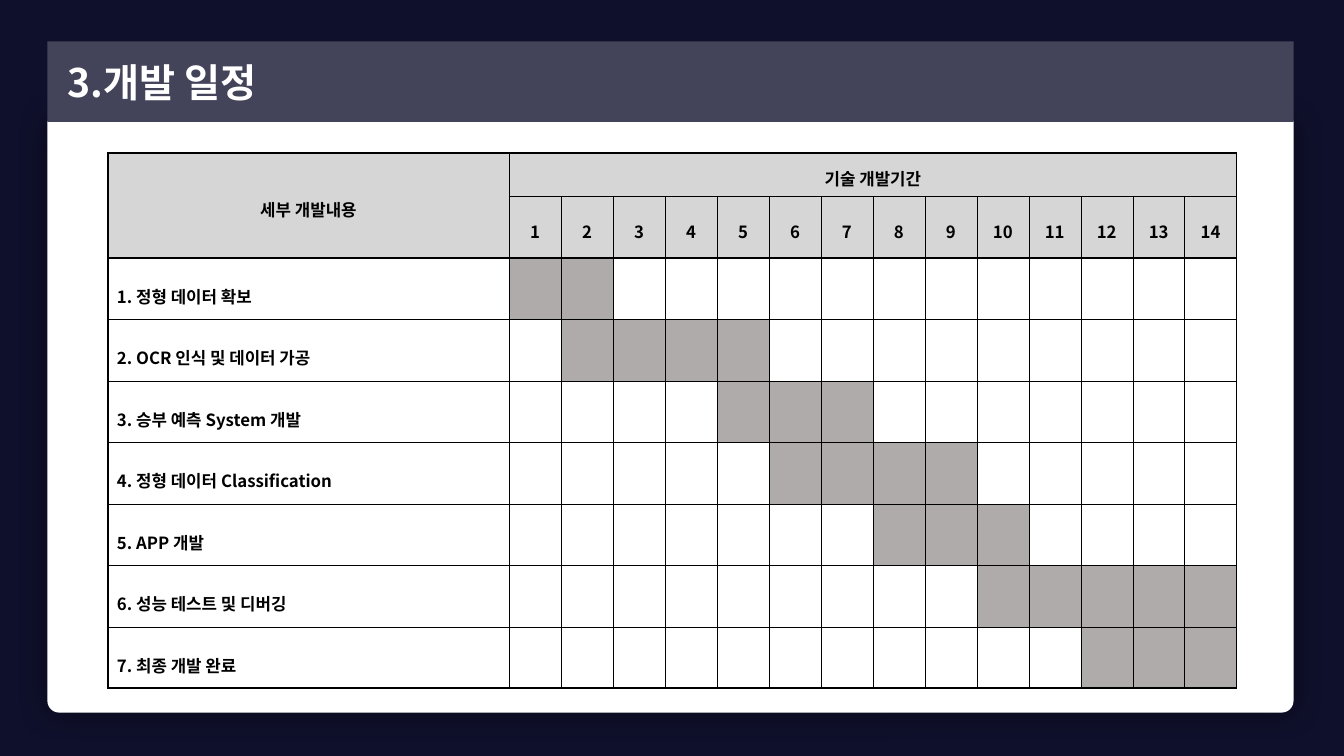
from lxml.etree import SubElement
from pptx import Presentation
from pptx.dml.color import RGBColor as Rgb
from pptx.enum.shapes import MSO_SHAPE as Shape
from pptx.enum.text import MSO_ANCHOR as Anchor, MSO_AUTO_SIZE as Fit, PP_ALIGN as Align
from pptx.oxml.ns import qn
from pptx.util import Inches, Pt

FONT = "Noto Sans CJK KR"
HUES = {"back": "0F102B", "card": "FFFFFF", "band": "434459",
        "head": "D6D6D6", "bar": "AFABAB", "ink": "000000"}
PLAIN = "{2D5ABB26-0587-4C30-8999-92F81FD0307C}"  # table style: no fill, no grid
WEEKS = 14
TASKS = [  # label, first week, last week
    ("1. 정형 데이터 확보", 1, 2),
    ("2. OCR 인식 및 데이터 가공", 2, 5),
    ("3. 승부 예측 System 개발", 5, 7),
    ("4. 정형 데이터 Classification", 6, 9),
    ("5. APP 개발", 8, 10),
    ("6. 성능 테스트 및 디버깅", 10, 14),
    ("7. 최종 개발 완료", 12, 14),
]
THIN, MID, EDGE, RULE = 0.28, 1, 1.7, 1.98


class Deck:
    def __init__(self):
        self.prs = Presentation()
        self.prs.slide_width, self.prs.slide_height = Inches(13.33), Inches(7.5)
        self.slide = self.prs.slides.add_slide(self.prs.slide_layouts[5])
        self.paint(self.slide.background.fill, "back")

    def paint(self, fill, hue):
        fill.solid()
        fill.fore_color.rgb = Rgb.from_string(HUES[hue])

    def label(self, frame, text, size, hue, align, lead=None):
        para = frame.paragraphs[0]
        para.alignment, para.line_spacing = align, lead
        run = para.add_run()
        run.text = text
        font = run.font
        font.name, font.size, font.bold = FONT, Pt(size), True
        font.color.rgb = Rgb.from_string(HUES[hue])
        SubElement(run._r.get_or_add_rPr(), qn("a:ea"), typeface=FONT)
        return para

    def card(self, x, y, w, h):
        """Add the white panel, round at the bottom, with a soft shadow."""
        card = self.slide.shapes.add_shape(
            Shape.ROUND_2_SAME_RECTANGLE, Inches(x), Inches(y), Inches(w), Inches(h))
        card.adjustments[0], card.adjustments[1] = 0, 0.02
        self.paint(card.fill, "card")
        card.line.fill.background()
        card.shadow.inherit = False
        glow = SubElement(card._element.spPr.find(qn("a:effectLst")), qn("a:outerShdw"),
                          blurRad=str(Pt(22)), dist="0", dir="0", algn="ctr", rotWithShape="0")
        tint = SubElement(glow, qn("a:srgbClr"), val=HUES["ink"])
        SubElement(tint, qn("a:alpha"), val="40000")

    def title(self, text, x, y, w, h):
        """Turn the title placeholder into the band on top of the panel."""
        band = self.slide.shapes.title
        band.left, band.top, band.width, band.height = map(Inches, (x, y, w, h))
        geom = SubElement(band._element.spPr, qn("a:prstGeom"), prst="round2SameRect")
        SubElement(geom, qn("a:avLst"))
        self.paint(band.fill, "band")
        frame = band.text_frame
        frame.auto_size, frame.word_wrap = Fit.NONE, True
        frame.vertical_anchor = Anchor.MIDDLE
        frame.margin_left, frame.margin_right = Inches(0.2), Inches(0.1)
        frame.margin_top = frame.margin_bottom = Inches(0.05)
        self.label(frame, text, 28, "card", Align.LEFT)
        self.slide.shapes._spTree.append(band._element)

    def cell(self, cell, hue, edges):
        """Style a cell; edges are line widths for left, right, top, bottom."""
        props = cell._tc.get_or_add_tcPr()
        for side, width in zip("LRTB", edges):
            line = SubElement(props, qn("a:ln" + side), w=str(Pt(width)))
            fill = SubElement(line, qn("a:solidFill"))
            SubElement(fill, qn("a:srgbClr"), val=HUES["ink"])
        self.paint(cell.fill, hue)
        cell.vertical_anchor = Anchor.MIDDLE
        cell.margin_left = cell.margin_right = Inches(0.02)
        cell.margin_top = cell.margin_bottom = Inches(0.02)

    def chart(self, x, y, w, first_w):
        """Add the schedule table with its shaded week bars."""
        count = len(TASKS) + 2
        table = self.slide.shapes.add_table(
            count, WEEKS + 1, Inches(x), Inches(y), Inches(w), Inches(5.31)).table
        table.first_row = table.horz_banding = False
        table._tbl.tblPr.find(qn("a:tableStyleId")).text = PLAIN
        for c, col in enumerate(table.columns):
            col.width = Inches((w - first_w) / WEEKS if c else first_w)
        for r, row in enumerate(table.rows):
            row.height = Inches(0.61 if r else 0.43)
        table.cell(0, 0).merge(table.cell(1, 0))
        table.cell(0, 1).merge(table.cell(0, WEEKS))

        tops = {0: EDGE, 1: MID, 2: RULE}
        ends = {0: MID, 1: RULE, count - 1: EDGE}
        for r in range(count):
            for c in range(WEEKS + 1):
                cell = table.cell(r, c)
                if cell.is_spanned:
                    continue
                hue = "head"
                if r > 1:
                    _, first, last = TASKS[r - 2]
                    hue = "bar" if first <= c <= last else "card"
                low = r + cell.span_height - 1 if cell.is_merge_origin else r
                self.cell(cell, hue, (THIN if c else EDGE, THIN,
                                      tops.get(r, THIN), ends.get(low, THIN)))

        heads = [(0, 0, "세부 개발내용"), (0, 1, "기술 개발기간")]
        heads += [(1, week, str(week)) for week in range(1, WEEKS + 1)]
        for r, c, text in heads:
            self.label(table.cell(r, c).text_frame, text, 12, "ink", Align.CENTER, 1.3)
        for r, (text, _, _) in enumerate(TASKS, 2):
            para = self.label(table.cell(r, 0).text_frame, text, 12, "ink", Align.JUSTIFY, 1.6)
            props = para._p.get_or_add_pPr()
            props.set("marL", str(Inches(0.07)))
            props.set("indent", "0")


def main():
    deck = Deck()
    deck.card(0.47, 1.2, 12.36, 5.87)
    deck.title("3.개발 일정", 0.47, 0.41, 12.36, 0.8)
    deck.chart(1.07, 1.52, 11.2, 3.98)
    deck.prs.save("out.pptx")


if __name__ == "__main__":
    main()
